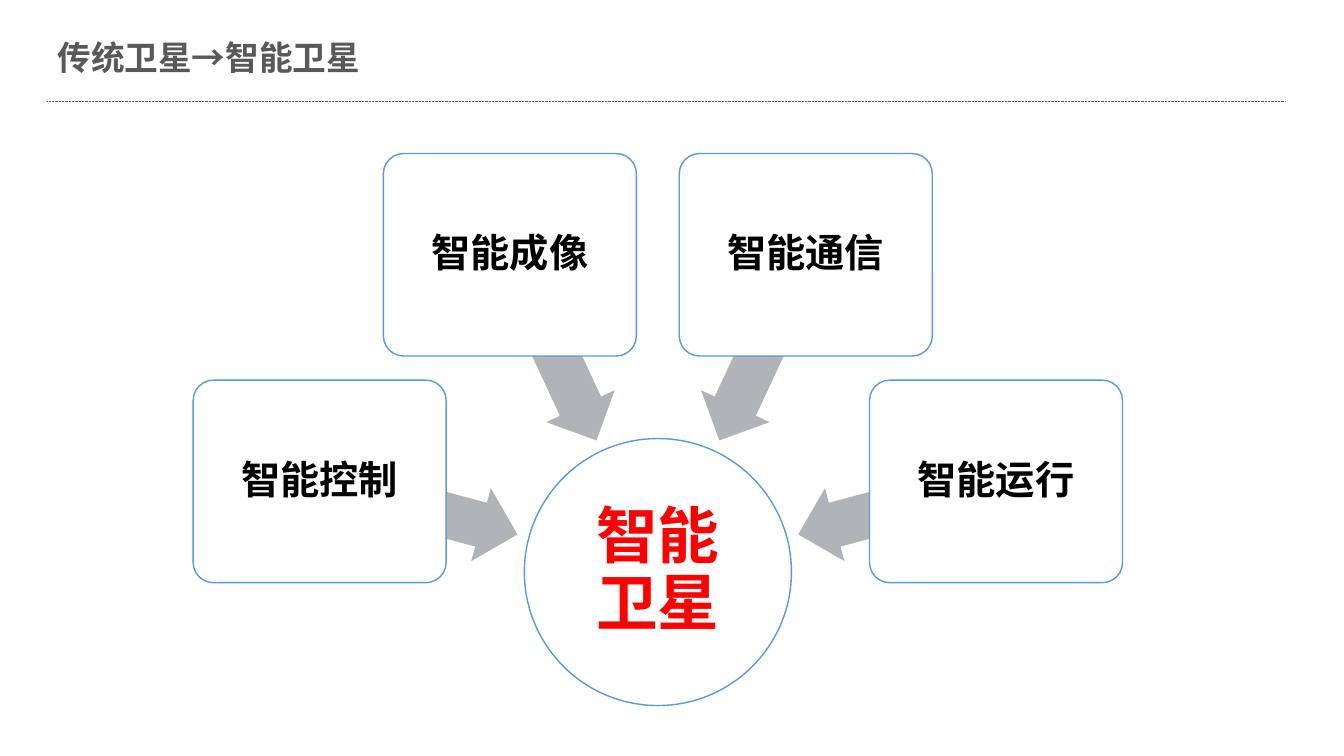
import math

import lxml.etree
import pptx
import pptx.dml.color
import pptx.enum.dml
import pptx.enum.shapes
import pptx.enum.text
import pptx.oxml.ns
import pptx.util

SHAPES = pptx.enum.shapes.MSO_SHAPE
ALIGN = pptx.enum.text.PP_ALIGN
QN = pptx.oxml.ns.qn


def color(value):
    return pptx.dml.color.RGBColor.from_string(value)


class SatellitePage:
    """Draw one slide on a grid of square cells, 40 columns wide."""

    font = "Noto Sans CJK SC"
    gray, blue, arrow_gray = "595959", "5B9BD5", "B0B4B9"
    white, black, red = "FFFFFF", "000000", "FF0000"

    def __init__(self, deck):
        self.cell = deck.slide_width / 40
        self.page = deck.slides.add_slide(deck.slide_layouts[5])

    def grid(self, *cells):
        return [round(count * self.cell) for count in cells]

    def label(self, shape, text, size, ink, align, inset):
        frame = shape.text_frame
        frame.text = text
        frame.word_wrap = True
        frame.auto_size = pptx.enum.text.MSO_AUTO_SIZE.NONE
        frame.vertical_anchor = pptx.enum.text.MSO_ANCHOR.MIDDLE
        frame.margin_left = frame.margin_right = pptx.util.Inches(inset)
        frame.margin_top = frame.margin_bottom = pptx.util.Inches(inset)
        para = frame.paragraphs[0]
        para.alignment = align
        para.line_spacing = 0.9
        for span in para.runs:
            span.font.name = self.font
            span.font.size = pptx.util.Pt(size)
            span.font.bold = True
            span.font.color.rgb = color(ink)
            properties = span._r.get_or_add_rPr()
            lxml.etree.SubElement(properties, QN("a:ea"), typeface=self.font)

    def title(self, text, left, top, width, height):
        box = self.page.shapes.title
        box.left, box.top, box.width, box.height = self.grid(left, top, width, height)
        self.label(box, text, 24, self.gray, ALIGN.LEFT, 0.1)

    def rule(self, left, right, row):
        line = self.page.shapes.add_connector(
            pptx.enum.shapes.MSO_CONNECTOR.STRAIGHT, *self.grid(left, row, right, row))
        line.line.color.rgb = color(self.gray)
        line.line.width = pptx.util.Pt(0.5)
        line.line.dash_style = pptx.enum.dml.MSO_LINE.ROUND_DOT
        lxml.etree.SubElement(line._element.spPr, QN("a:effectLst"))

    def shape(self, kind, center, size, fill, outline=None, adjustments=()):
        (column, row), (width, height) = center, size
        item = self.page.shapes.add_shape(
            kind, *self.grid(column - width / 2, row - height / 2, width, height))
        item.shadow.inherit = False
        item.fill.solid()
        item.fill.fore_color.rgb = color(fill)
        if outline:
            item.line.color.rgb = color(outline)
            item.line.width = pptx.util.Pt(1)
        else:
            item.line.fill.background()
        for index, value in enumerate(adjustments):
            item.adjustments[index] = value
        return item

    def hub(self, text, center, diameter):
        circle = self.shape(SHAPES.OVAL, center, (diameter, diameter), self.white, self.blue)
        self.label(circle, text, 44, self.red, ALIGN.CENTER, 0.03)

    def arrow(self, center, angle):
        arrow = self.shape(SHAPES.LEFT_ARROW, center, (6.09, 2.25),
                           self.arrow_gray, adjustments=(0.6, 0.5))
        arrow.rotation = angle

    def card(self, text, center):
        card = self.shape(SHAPES.ROUNDED_RECTANGLE, center, (7.53, 6.03),
                          self.white, self.blue, (0.1,))
        self.label(card, text, 28, self.black, ALIGN.CENTER, 0.06)


def around(center, radius, angle):
    turn = math.radians(angle)
    return center[0] + radius * math.cos(turn), center[1] + radius * math.sin(turn)


def main():
    deck = pptx.Presentation()
    deck.slide_width = pptx.util.Inches(13.33)
    deck.slide_height = pptx.util.Inches(7.5)
    page = SatellitePage(deck)
    page.rule(1.41, 38.28, 3.03)
    page.title("传统卫星→智能卫星", 1.41, 0.96, 31.92, 1.65)
    center = (19.58, 17.03)
    page.hub("智能卫星", center, 7.95)
    abilities = ["智能控制", "智能成像", "智能通信", "智能运行"]
    for index, ability in enumerate(abilities):
        angle = 195 + 50 * index
        page.arrow(around(center, 7.37, angle), angle)
        page.card(ability, around(center, 10.42, angle))
    deck.save("out.pptx")


if __name__ == "__main__":
    main()
